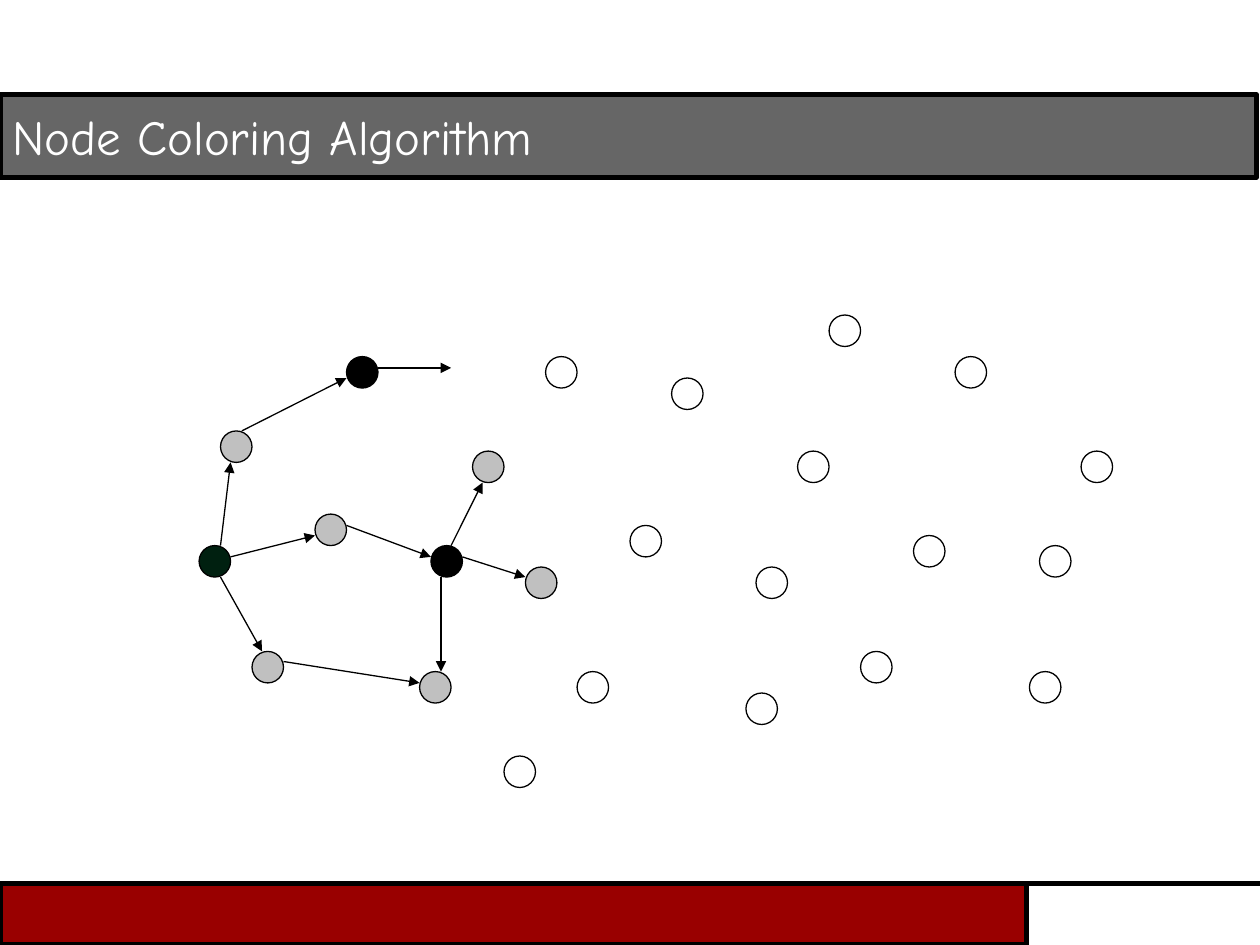
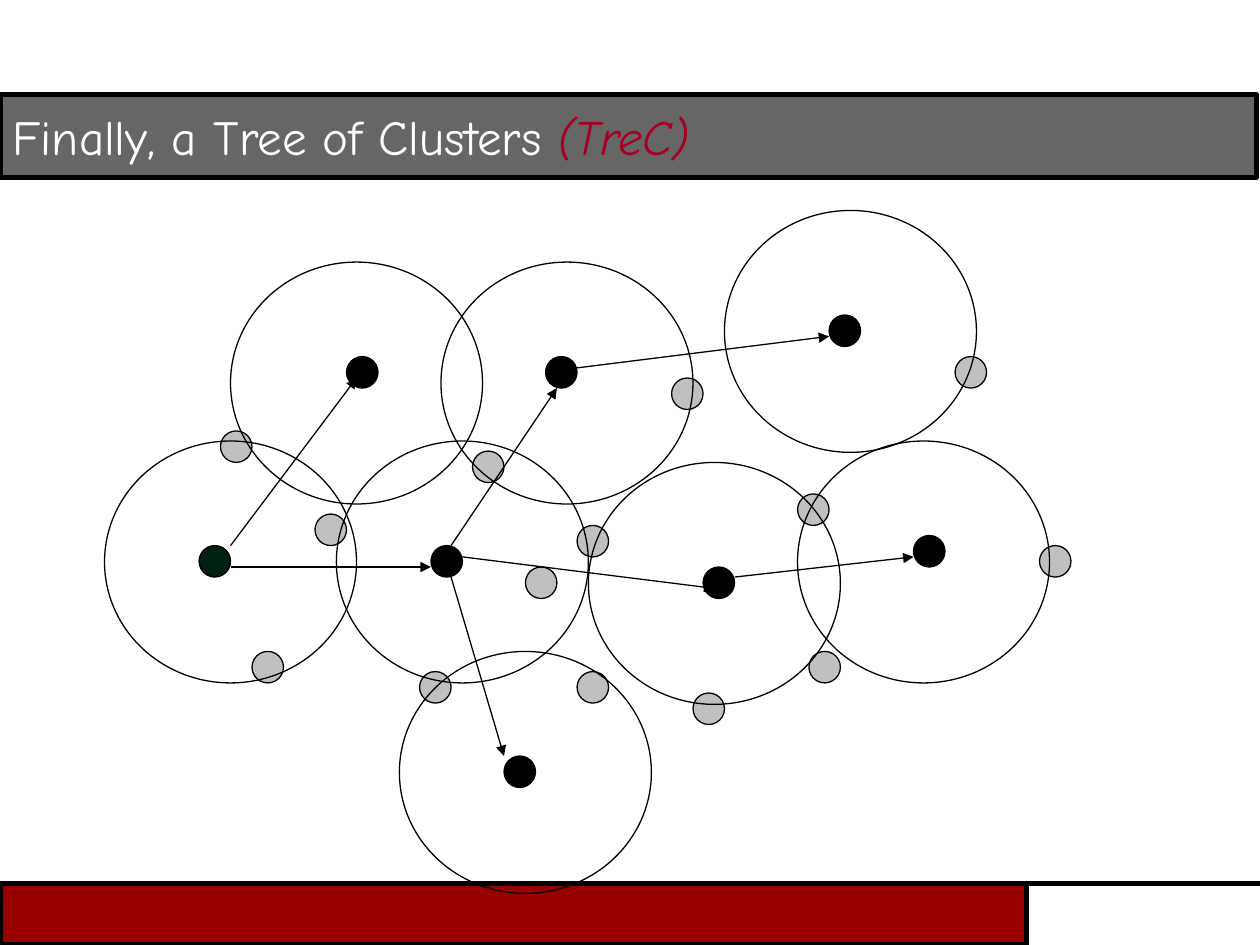
from dataclasses import dataclass

from lxml.etree import SubElement
from pptx import Presentation
from pptx.dml.color import RGBColor
from pptx.enum.shapes import MSO_CONNECTOR, MSO_SHAPE
from pptx.enum.text import MSO_ANCHOR, MSO_AUTO_SIZE, PP_ALIGN
from pptx.oxml.ns import qn
from pptx.util import Inches, Pt


@dataclass(frozen=True)
class Theme:
    font: str = "Comic Neue"
    title_size: float = 28
    band_line: float = 3
    thin_line: float = 0.75
    ink: str = "000000"
    paper: str = "FFFFFF"
    title_band: str = "666666"
    footer_band: str = "990000"
    accent: str = "A50021"
    root: str = "002010"
    member: str = "C0C0C0"


THEME = Theme()

# Sizes and shared places, in inches
NODE_SIZE = (0.25, 0.25)
CLUSTER_SIZE = (2, 1.92)
TITLE_BOX = (0, 0.75, 9.97, 0.66)
FOOTER_BOX = (0, 7.01, 8.15, 0.49)
FOOTER_RULE = ((10, 7.01), (1.6, 7.01))

# Nodes that keep their place and colour on both slides
COLORED_NODES = [
    (THEME.root, [(1.58, 4.33)]),
    (THEME.member, [(1.75, 3.42), (2.5, 4.08), (2, 5.17), (3.75, 3.58),
                    (3.33, 5.33), (4.17, 4.5)]),
    (THEME.ink, [(3.42, 4.33), (2.75, 2.83)]),
]

SLIDES = [
    {
        "title": [("Node Coloring Algorithm", {})],
        "nodes": [
            (THEME.paper, [(4.33, 2.83), (5, 4.17), (4.58, 5.33), (6, 4.5),
                           (6.33, 3.58), (5.92, 5.5), (5.33, 3), (4, 6),
                           (6.58, 2.5), (7.25, 4.25), (6.83, 5.17), (8.25, 4.33),
                           (8.58, 3.58), (8.17, 5.33), (7.58, 2.83)]),
        ],
        "clusters": [],
        "arrows": [
            ((1.75, 4.33), (1.83, 3.67)),
            ((1.83, 4.42), (2.5, 4.25)),
            ((1.75, 4.58), (2.08, 5.17)),
            ((1.92, 3.42), (2.75, 3)),
            ((2.75, 4.17), (3.42, 4.42)),
            ((2.25, 5.25), (3.33, 5.42)),
            ((3.58, 4.33), (3.83, 3.83)),
            ((3.67, 4.42), (4.17, 4.58)),
            ((3.5, 4.58), (3.5, 5.33)),
            ((3, 2.92), (3.58, 2.92)),
        ],
    },
    {
        "title": [("Finally, a Tree of Clusters ", {}),
                  ("(TreC)", {"color": THEME.accent, "italic": True})],
        "nodes": [
            (THEME.ink, [(4.33, 2.83), (5.58, 4.5), (4, 6), (6.58, 2.5),
                         (7.25, 4.25)]),
            (THEME.member, [(4.58, 4.17), (4.58, 5.33), (6.33, 3.92), (5.5, 5.5),
                            (5.33, 3), (6.42, 5.17), (8.25, 4.33), (7.58, 2.83)]),
        ],
        "clusters": [(0.83, 3.5), (2.67, 3.5), (1.83, 2.08), (3.5, 2.08),
                     (4.67, 3.67), (3.17, 5.17), (6.33, 3.5), (5.75, 1.67)],
        "arrows": [
            ((1.83, 4.5), (3.42, 4.5)),
            ((1.83, 4.33), (2.83, 3)),
            ((3.58, 4.33), (4.42, 3.08)),
            ((3.58, 4.58), (4, 6)),
            ((3.67, 4.42), (5.67, 4.67)),
            ((4.58, 2.92), (6.58, 2.67)),
            ((5.83, 4.58), (7.25, 4.42)),
        ],
    },
]


# Drawing helpers
def paint(shape, fill=None, width=THEME.thin_line):
    if fill:
        shape.fill.solid()
        shape.fill.fore_color.rgb = RGBColor.from_string(fill)
    else:
        shape.fill.background()
    shape.line.color.rgb = RGBColor.from_string(THEME.ink)
    shape.line.width = Pt(width)


def add_figure(page, kind, box, **style):
    figure = page.shapes.add_shape(kind, *map(Inches, box))
    figure.shadow.inherit = False
    paint(figure, **style)
    return figure


def add_line(page, start, end, width=THEME.thin_line, arrow=False):
    line = page.shapes.add_connector(
        MSO_CONNECTOR.STRAIGHT, *map(Inches, (*start, *end)))
    line.line.color.rgb = RGBColor.from_string(THEME.ink)
    line.line.width = Pt(width)
    properties = line.element.spPr
    if arrow:
        SubElement(properties.find(qn("a:ln")), qn("a:tailEnd"), type="triangle")
    SubElement(properties, qn("a:effectLst"))
    return line


def add_text(para, text, size=THEME.title_size, color=THEME.paper, italic=False):
    span = para.add_run()
    span.text = text
    span.font.name = THEME.font
    span.font.size = Pt(size)
    span.font.italic = italic
    span.font.color.rgb = RGBColor.from_string(color)


def set_title(page, spans):
    title = page.shapes.title
    title.left, title.top, title.width, title.height = map(Inches, TITLE_BOX)
    paint(title, THEME.title_band, THEME.band_line)
    frame = title.text_frame
    frame.auto_size = MSO_AUTO_SIZE.NONE
    frame.word_wrap = True
    frame.vertical_anchor = MSO_ANCHOR.MIDDLE
    para = frame.paragraphs[0]
    para.alignment = PP_ALIGN.LEFT
    para.space_before = Pt(0)
    for text, style in spans:
        add_text(para, text, **style)


def move_footer_to_layout(page):
    """Draw the footer on a page, then hand it to the layout all pages share."""
    rule = add_line(page, *FOOTER_RULE, width=THEME.band_line)
    band = add_figure(page, MSO_SHAPE.RECTANGLE, FOOTER_BOX,
                      fill=THEME.footer_band, width=THEME.band_line)
    for part in (rule, band):
        page.slide_layout.shapes.element.append(part.element)


def main():
    deck = Presentation()
    deck.slide_width, deck.slide_height = Inches(10), Inches(7.5)
    title_only = deck.slide_layouts[5]

    for number, content in enumerate(SLIDES):
        page = deck.slides.add_slide(title_only)
        if number == 0:
            move_footer_to_layout(page)
        set_title(page, content["title"])

        # Network nodes, cluster ranges, then the arrows over them
        for color, places in COLORED_NODES + content["nodes"]:
            for place in places:
                add_figure(page, MSO_SHAPE.OVAL, (*place, *NODE_SIZE), fill=color)
        for place in content["clusters"]:
            add_figure(page, MSO_SHAPE.OVAL, (*place, *CLUSTER_SIZE))
        for start, end in content["arrows"]:
            add_line(page, start, end, arrow=True)

    deck.save("out.pptx")


if __name__ == "__main__":
    main()
